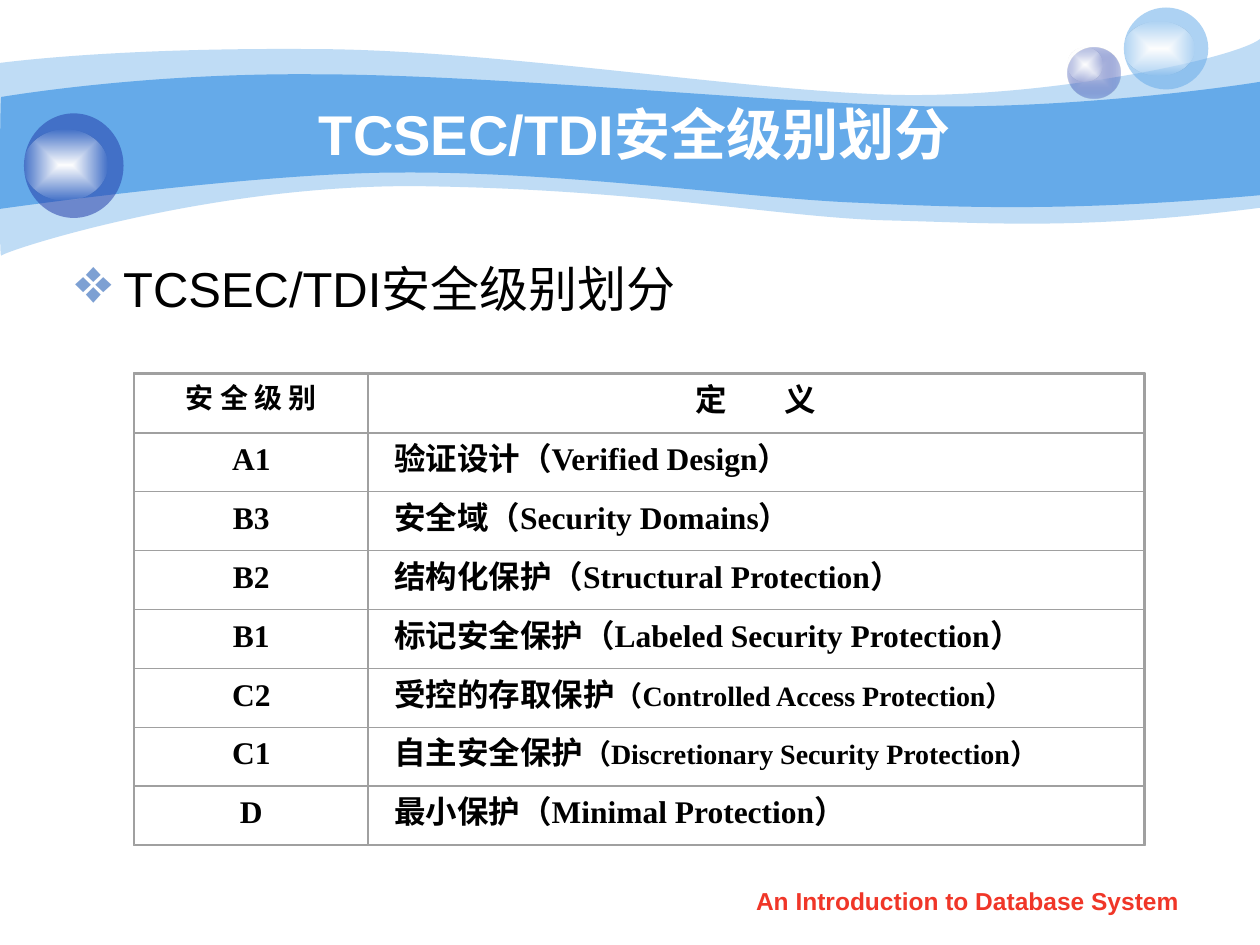
from lxml import etree
from pptx import Presentation
from pptx.dml.color import RGBColor as RGB
from pptx.enum.shapes import MSO_SHAPE as SHAPE
from pptx.enum.text import MSO_ANCHOR as ANCHOR, PP_ALIGN as ALIGN
from pptx.oxml import parse_xml
from pptx.oxml.ns import nsdecls, qn
from pptx.util import Inches, Pt

COLORS = {
    "sky": "65AAE9", "navy": "233DA9", "mist": "C6CCE8", "white": "FFFFFF",
    "glow": "FEFEFE", "bullet": "7DA0D3", "black": "000000",
    "grid": "A0A0A0", "red": "F03628",
}


def paint(sp, *stops):
    xml = [f'<a:srgbClr val="{COLORS[name]}"><a:alpha val="{opacity * 1000}"/></a:srgbClr>'
           for name, opacity in stops]
    if len(xml) == 1:
        fill = f'<a:solidFill {nsdecls("a")}>{xml[0]}</a:solidFill>'
    else:
        fill = (f'<a:gradFill {nsdecls("a")} rotWithShape="1"><a:gsLst>'
                f'<a:gs pos="0">{xml[0]}</a:gs><a:gs pos="100000">{xml[1]}</a:gs></a:gsLst>'
                '<a:path path="rect"><a:fillToRect l="50000" t="50000" r="50000" b="50000"/>'
                '</a:path></a:gradFill>')
    sp._element.spPr.insert(2, parse_xml(fill))
    sp.line.fill.background()
    sp.shadow.inherit = False


def write(shapes, box, parts, color, font, bold, align, anchor=ANCHOR.TOP):
    x, y, w, h = box
    sp = shapes.add_textbox(int(x * col), int(y * row), int(w * col), int(h * row))
    tf = sp.text_frame
    tf.word_wrap, tf.vertical_anchor = True, anchor
    p = tf.paragraphs[0]
    p.alignment = align
    for text, size in parts:
        r = p.add_run()
        r.text = text
        r.font.size, r.font.bold, r.font.name = Pt(size), bold, font
        r.font.color.rgb = RGB.from_string(COLORS[color])
    return p


prs = Presentation()
prs.slide_width, prs.slide_height = Inches(10), Inches(7.5)
col, row = prs.slide_width // 100, prs.slide_height // 75
s = prs.slides.add_slide(prs.slide_layouts[6])

waves = [
    (41, (0, 5), [
        (2.4, 4.7, 10.7, 3.8, 24.7, 3.9), (38.6, 3.9, 57.5, 7, 69.9, 7.5),
        (82.2, 8, 98, 4.7, 100, 3.1), (100, 3.1, 100, 16.5, 100, 16.5),
        (85.8, 18.3, 78.7, 17.7, 70.5, 17.5), (62.2, 17.3, 51.5, 15.1, 34.3, 14.8),
        (17.2, 14.4, 0.4, 19.9, 0.1, 20.3), (-0.1, 20.8, 0, 7.5, 0, 5)]),
    (100, (0.1, 7.7), [
        (0.2, 7.7, 11, 5.8, 24.8, 5.9), (38.6, 5.9, 59.5, 8, 71.8, 8.4),
        (84.1, 8.8, 97.6, 6.9, 100, 6.5), (100, 6.5, 100, 15.5, 100, 15.5),
        (85.3, 16.8, 76.5, 16.5, 68.2, 16.1), (59.9, 15.8, 44.7, 13.6, 31.7, 13.7),
        (20.3, 13.7, -0.2, 16.6, -0.1, 16.6), (0, 16.6, 0, 7.7, 0.1, 7.7)]),
]
for opacity, (x, y), curves in waves:
    points = [(c[k] * col, c[k + 1] * row) for c in curves for k in (0, 2, 4)]
    builder = s.shapes.build_freeform(int(x * col), int(y * row))
    builder.add_line_segments(points, close=True)
    sp = builder.convert_to_shape()
    lines = list(sp._element.iter(qn("a:lnTo")))
    for first, second, third in zip(lines[::3], lines[1::3], lines[2::3]):
        first.tag = qn("a:cubicBezTo")
        for line in (second, third):
            first.append(line[0])
            line.getparent().remove(line)
    paint(sp, ("sky", opacity))

shine = [("white", 100), ("glow", 0)]
balls = [
    [(84.7, 3.8, 4.2, 4, [("mist", 100), ("navy", 31)]), (84.7, 3.8, 2.8, 2.7, shine)],
    [(89.2, 0.6, 6.7, 6.5, [("sky", 53)]), (89.2, 1.7, 5.6, 4.3, shine)],
    [(1.9, 9, 7.9, 8.3, [("navy", 53)]), (1.9, 10.3, 6.6, 5.6, shine)],
]
for ball in balls:
    group = s.shapes.add_group_shape()
    for x, y, w, h, stops in ball:
        sp = group.shapes.add_shape(SHAPE.OVAL, int(x * col), int(y * row),
                                    int(w * col), int(h * row))
        paint(sp, *stops)

heading = "TCSEC/TDI安全级别划分"
write(s.shapes, (10, 7.5, 80.8, 6.2), [(heading, 32)], "white", "Arial", True,
      ALIGN.CENTER, ANCHOR.MIDDLE)
p = write(s.shapes, (5, 20, 90, 49.2), [(heading, 28)], "black", "Arial", False, ALIGN.LEFT)
p.space_before = Pt(7)
pPr = p._p.get_or_add_pPr()
pPr.set("marL", str(Inches(0.38)))
pPr.set("indent", str(-Inches(0.38)))
bullet_color = etree.SubElement(pPr, qn("a:buClr"))
etree.SubElement(bullet_color, qn("a:srgbClr"), val=COLORS["bullet"])
etree.SubElement(pPr, qn("a:buSzPct"), val="130000")
etree.SubElement(pPr, qn("a:buChar"), char="❖")

levels = [
    ([("安 全 级 别", 16)], [("定", 18), (" ", 18), ("义", 18)]),
    ([("A1", 18)], [("验证设计（Verified Design）", 18)]),
    ([("B3", 18)], [("安全域（Security Domains）", 18)]),
    ([("B2", 18)], [("结构化保护（Structural Protection）", 18)]),
    ([("B1", 18)], [("标记安全保护（Labeled Security Protection）", 18)]),
    ([("C2", 18)], [("受控的存取保护", 18), ("（Controlled Access Protection）", 16)]),
    ([("C1", 18)], [("自主安全保护", 18), ("（Discretionary Security Protection）", 16)]),
    ([("D", 18)], [("最小保护（Minimal Protection）", 18)]),
]
columns = [(10.7, 18.5), (29.2, 61.6)]
top, height, inset = 29.7, 4.67, 1.1
group = s.shapes.add_group_shape()
frames = []
for i, level in enumerate(levels):
    y = top + i * height
    for j, ((x, w), parts) in enumerate(zip(columns, level)):
        p = write(group.shapes, (x + inset, y, w - 2 * inset, height), parts, "black",
                  "Times New Roman", True, ALIGN.JUSTIFY if i and j else ALIGN.CENTER)
        if len(parts) == 3:
            p.runs[1]._r.get_or_add_rPr().set("spc", "2900")
        frames.append((x, y, w, height, 0))
        x, y, w, h, weight = frames[-1]
        sp = group.shapes.add_shape(SHAPE.RECTANGLE, int(x * col), int(y * row),
                                    int(w * col), int(h * row))
        sp.fill.background()
        sp.line.color.rgb = RGB.from_string(COLORS["grid"])
        sp.line.width = Pt(weight)
        sp.shadow.inherit = False
sp = group.shapes.add_shape(SHAPE.RECTANGLE, int(10.6 * col), int(29.6 * row),
                            int(80.3 * col), int(37.5 * row))
sp.fill.background()
sp.line.color.rgb = RGB.from_string(COLORS["grid"])
sp.line.width = Pt(0.88)
sp.shadow.inherit = False

write(s.shapes, (57.1, 69.8, 39.4, 3.5), [("An Introduction to Database System", 14)],
      "red", "Arial", True, ALIGN.CENTER)

prs.save("out.pptx")
